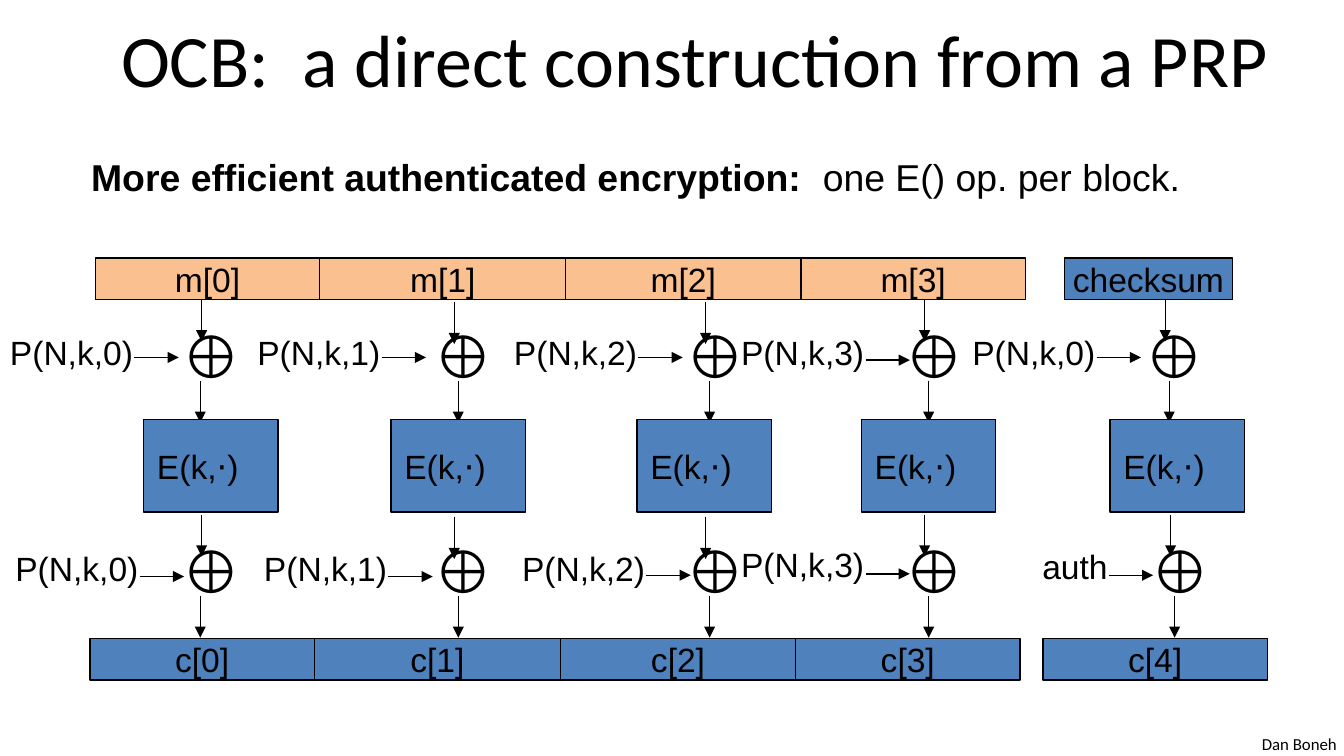
from collections import namedtuple

from lxml.etree import SubElement
from pptx import Presentation
from pptx.dml.color import RGBColor
from pptx.enum.shapes import MSO_CONNECTOR, MSO_SHAPE
from pptx.enum.text import MSO_ANCHOR, PP_ALIGN
from pptx.oxml.ns import qn
from pptx.util import Inches, Pt

COLORS = {"ink": "000000", "message": "FAC090", "cipher": "4F81BD"}
COLS, ROWS = 100, 56.25  # slide grid
CELL = Inches(10) / COLS

Box = namedtuple("Box", "x y w h")
# x: left of the XOR symbols; block: left of E; out: XOR to its lower arrow;
# drop: extra start of the upper arrow; shift: move of the lower XOR
Lane = namedtuple("Lane", "x block out drop shift masks")
# right: right end of the label; top, arrow: offsets from the top of the stage
Mask = namedtuple("Mask", "label right top arrow")

LANES = [
    Lane(12.5, 10.7, 2.4, 0, 0,
         [Mask("P(N,k,0)", 10.9, 1.9, 4.3), Mask("P(N,k,0)", 11.3, 2, 4.6)]),
    Lane(31.3, 29.1, 2.8, 0.2, 0,
         [Mask("P(N,k,1)", 29.3, 1.9, 4.3), Mask("P(N,k,1)", 29.8, 2, 4.6)]),
    Lane(50, 47.4, 2.8, 0.2, 0,
         [Mask("P(N,k,2)", 48.4, 1.9, 4.3), Mask("P(N,k,2)", 49, 2, 4.5)]),
    Lane(66.3, 64.1, 2.8, 0, 0,
         [Mask("P(N,k,3)", 65.3, 1.9, 4.5), Mask("P(N,k,3)", 65.3, 1.7, 4.4)]),
    Lane(84.2, 82.6, 2.8, 0, 0.4,
         [Mask("P(N,k,0)", 82.5, 1.9, 4.3), Mask("auth", 83.4, 1.8, 4.5)]),
]
BLOCK_WIDTHS = [16.7, 18.3, 17.5, 16.7]
STAGE_TOPS = [22.3, 38.3]
ARROW = 3.1


def emu(*cells):
    return [round(c * CELL) for c in cells]


def color(name):
    return RGBColor.from_string(COLORS[name])


def write(sp, runs, size, font="Arial", align=PP_ALIGN.LEFT,
          anchor=MSO_ANCHOR.TOP, wrap=False):
    """Fill a shape with one paragraph of (text, bold) runs."""
    tf = sp.text_frame
    tf.word_wrap = wrap
    tf.vertical_anchor = anchor
    p = tf.paragraphs[0]
    p.alignment = align
    for text, bold in runs:
        r = p.add_run()
        r.text = text
        r.font.name, r.font.size, r.font.bold = font, Pt(size), bold
        r.font.color.rgb = color("ink")


def add_text(s, box, runs, size, **style):
    write(s.shapes.add_textbox(*emu(*box)), runs, size, **style)


def add_block(s, box, label, fill, align=PP_ALIGN.CENTER):
    sp = s.shapes.add_shape(MSO_SHAPE.RECTANGLE, *emu(*box))
    sp.shadow.inherit = False
    sp.fill.solid()
    sp.fill.fore_color.rgb = color(fill)
    sp.line.color.rgb = color("ink")
    sp.line.width = Pt(0.75)
    write(sp, [(label, False)], 18, align=align, anchor=MSO_ANCHOR.MIDDLE)


def add_arrow(s, x, y, dx=0, dy=0):
    cx = s.shapes.add_connector(MSO_CONNECTOR.STRAIGHT, *emu(x, y, x + dx, y + dy))
    cx.line.color.rgb = color("ink")
    cx.line.width = Pt(0.75)
    SubElement(cx.line._get_or_add_ln(), qn("a:tailEnd"), type="triangle")
    SubElement(cx._element.spPr, qn("a:effectLst"))


def add_heading(s, box):
    add_text(s, Box(box.x + 1.7, box.y, box.w, 6.2),
             [("OCB:  a direct construction from a PRP", False)], 39.6,
             font="Calibri", align=PP_ALIGN.CENTER,
             anchor=MSO_ANCHOR.MIDDLE, wrap=True)
    add_text(s, Box(box.x + 0.8, box.y + 9.8, box.w, 6.5),
             [("More efficient authenticated encryption:  ", True),
              ("one E() op. per block.", False)], 20, wrap=True)


def add_block_row(s, box, letter, fill):
    x = box.x
    for i, width in enumerate(BLOCK_WIDTHS):
        add_block(s, Box(x, box.y, width, box.h), f"{letter}[{i}]", fill)
        x += width


def add_xor_stage(s, box, lane, mask):
    """Draw a masked XOR with the arrows that enter and leave it."""
    add_arrow(s, box.x + 2.5, box.y + lane.drop, dy=ARROW)
    add_text(s, Box(box.x, box.y + 0.9, box.w, 6.4), [("⊕", False)], 32)
    add_arrow(s, box.x + lane.out, box.y + box.h - ARROW, dy=ARROW)

    width = 11.3 if "(" in mask.label else 6.9
    add_text(s, Box(mask.right - width, box.y + mask.top, width, 4),
             [(mask.label, False)], 18, align=PP_ALIGN.RIGHT)
    add_arrow(s, mask.right - 0.9, box.y + mask.arrow, dx=3.3)


def add_lane(s, lane):
    for i, (top, mask) in enumerate(zip(STAGE_TOPS, lane.masks)):
        add_xor_stage(s, Box(lane.x + i * lane.shift, top, 5.5, 9.15), lane, mask)
    add_block(s, Box(lane.block, 31.2, 10, 6.9), "E(k,⋅)", "cipher",
              align=PP_ALIGN.LEFT)


def main():
    prs = Presentation()
    prs.slide_width, prs.slide_height = emu(COLS, ROWS)
    s = prs.slides.add_slide(prs.slide_layouts[6])

    add_heading(s, Box(5, 1.2, 90, 16))
    add_block_row(s, Box(7.1, 19.2, 69.2, 3.1), "m", "message")
    add_block(s, Box(79.2, 19.2, 12.5, 3.1), "checksum", "cipher")
    add_block_row(s, Box(6.7, 47.5, 69.2, 3.1), "c", "cipher")
    add_block(s, Box(77.6, 47.5, 16.7, 3.1), "c[4]", "cipher")
    for lane in LANES:
        add_lane(s, lane)
    add_text(s, Box(92.9, 54.1, 7.6, 2.5), [("Dan Boneh", False)], 9,
             font="Calibri")
    prs.save("out.pptx")


if __name__ == "__main__":
    main()
